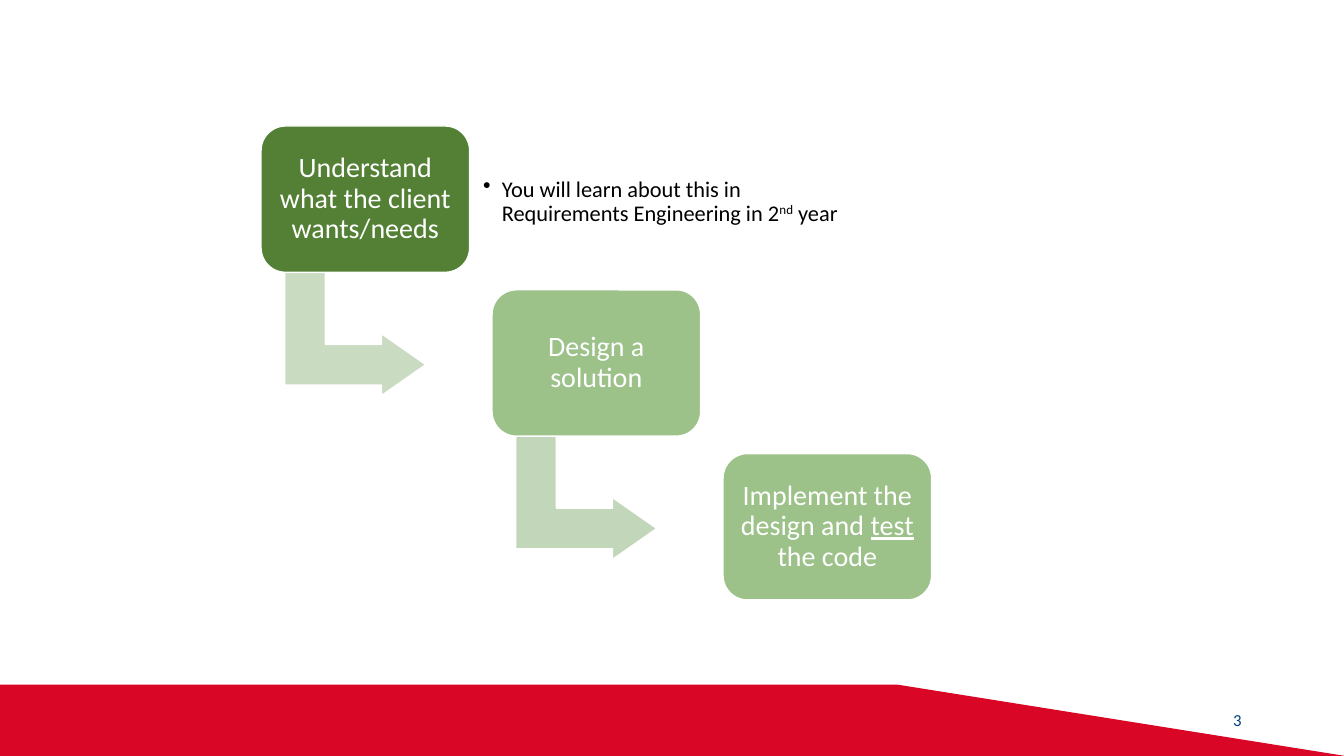
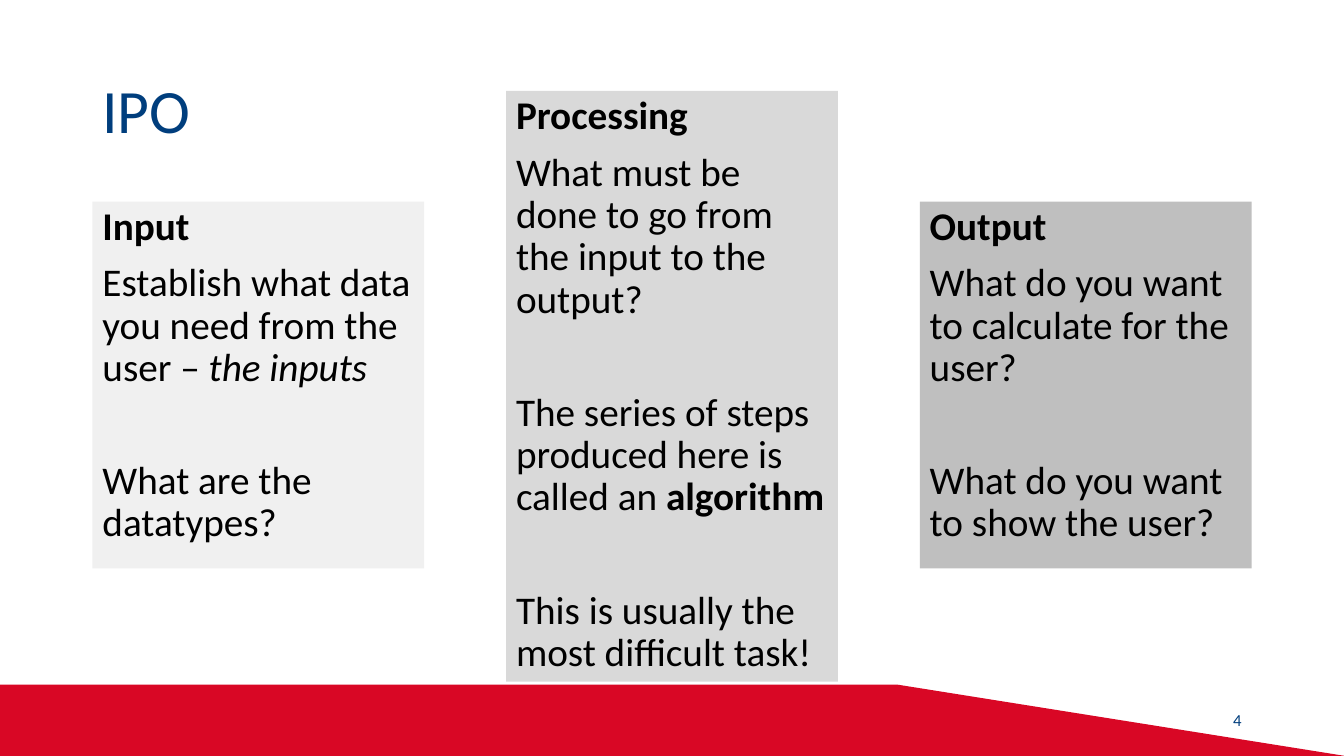
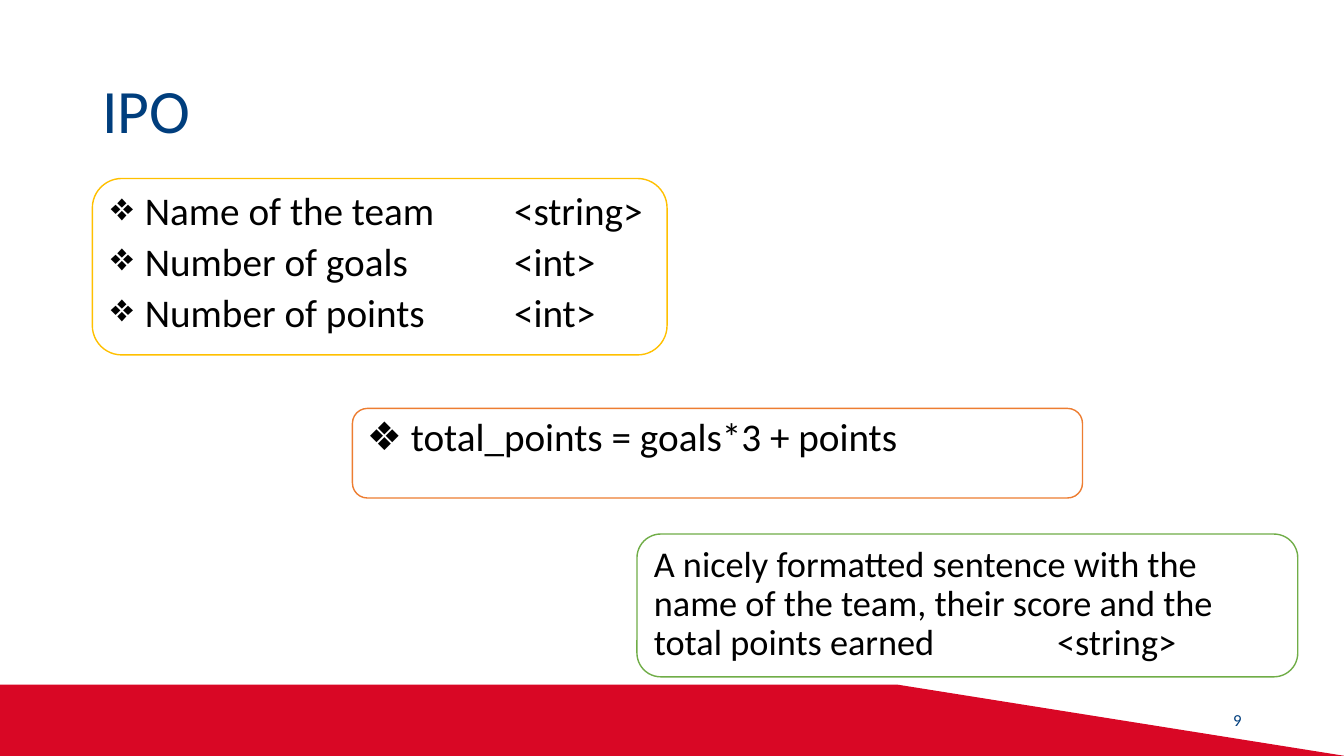
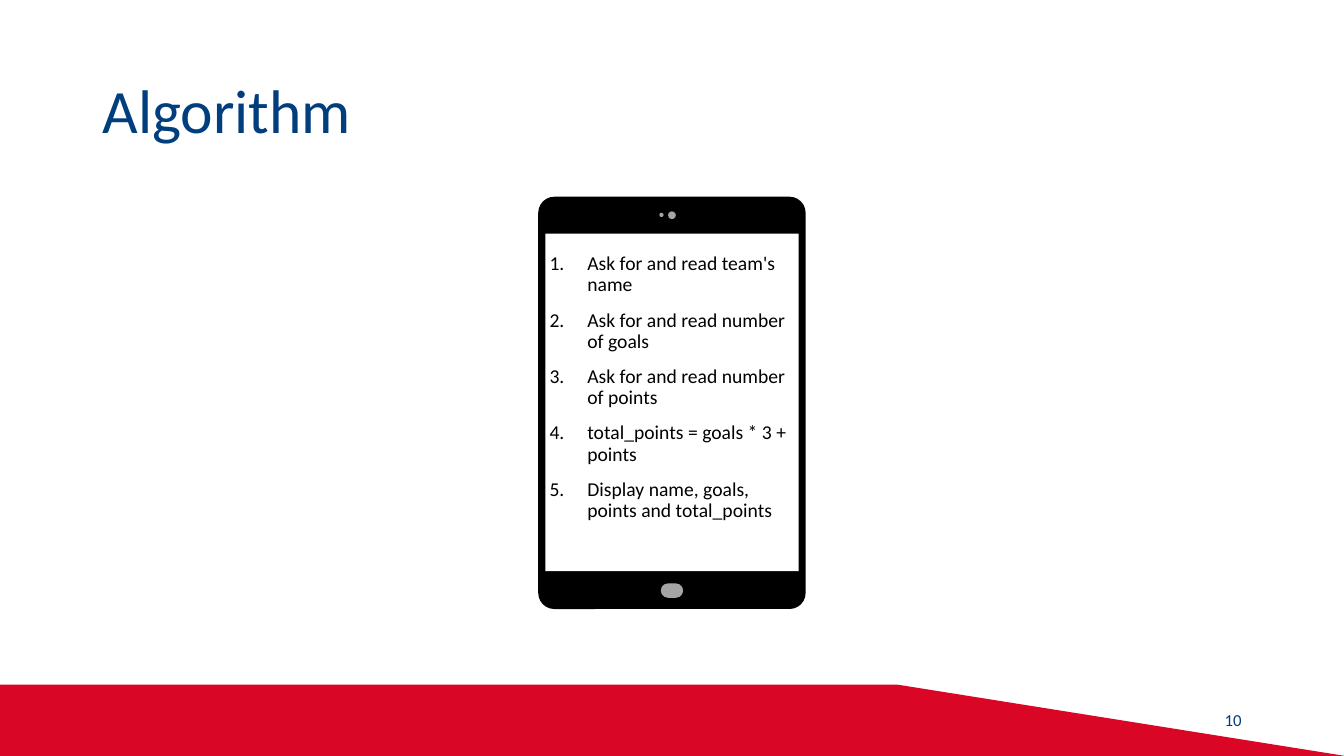
"""Builds four lecture slides on software steps, IPO and an algorithm."""
from lxml import etree
from pptx import Presentation
from pptx.dml.color import RGBColor
from pptx.enum.shapes import MSO_SHAPE
from pptx.enum.text import MSO_ANCHOR, MSO_AUTO_SIZE, PP_ALIGN
from pptx.oxml.ns import qn
from pptx.util import Pt

RECT, ROUNDED, OVAL = MSO_SHAPE.RECTANGLE, MSO_SHAPE.ROUNDED_RECTANGLE, MSO_SHAPE.OVAL
BENT_ARROW, ALTERNATE = MSO_SHAPE.BENT_UP_ARROW, MSO_SHAPE.FLOWCHART_ALTERNATE_PROCESS
TOP, MIDDLE = MSO_ANCHOR.TOP, MSO_ANCHOR.MIDDLE
LEFT, CENTER, RIGHT = PP_ALIGN.LEFT, PP_ALIGN.CENTER, PP_ALIGN.RIGHT
NO_FIT = MSO_AUTO_SIZE.NONE

FONT = "Calibri"
RED, BLUE, BLACK, WHITE, GREY = "D90725", "003E7D", "000000", "FFFFFF", "A5A5A5"
CONTENT, TITLE_ONLY, BLANK = 1, 5, 6
TITLE_BOX = (66, 28.75, 828, 104.5)
NUMBER_BOX = (678, 500.5, 216, 28.75)
BAND = [(0, 489), (641, 489), (961, 540), (0, 540)]

STEPS = [
    ("538035", "C9DBC1", [("Understand what the client wants/needs", "")]),
    ("9CC189", "C2D7B9", [("Design a solution", "")]),
    ("9CC189", None, [("Implement the design and ", ""), ("test", "u"), (" the code", "")]),
]
STEP_NOTE = [("You will learn about this in Requirements Engineering in 2", ""),
             ("nd", "^"), (" year", "")]

COLUMNS = [
    ("F0F0F0", 144, 262, [
        [("Input", "b")],
        [("Establish what data you need from the user – ", ""), ("the inputs", "i")],
        [("What are the datatypes?", "")]]),
    ("D9D9D9", 65, 422, [
        [("Processing", "b")],
        [("What must be done to go from the input to the output?", "")],
        [("The series of steps produced here is called an ", ""), ("algorithm", "b")],
        [("This is usually the most difficult task!", "")]]),
    ("BFBFBF", 144, 262, [
        [("Output", "b")],
        [("What do you want to calculate for the user?", "")],
        [("What do you want to show the user?", "")]]),
]

INPUTS = [" Name of the team \t<string>", " Number of goals \t<int>", " Number of points \t<int>"]
FORMULA = [" total_points = goals*3 + points"]
OUTPUT = ["A nicely formatted sentence with the name of the team, their score"
          " and the total points earned\t\t<string>"]

ALGORITHM = ["Ask for and read team's name", "Ask for and read number of goals",
             "Ask for and read number of points", "total_points = goals * 3 + points",
             "Display name, goals, points and total_points"]
TABLET = [
    (ROUNDED, (384.5, 140.5, 191, 294.5), BLACK, 0.06),
    (ROUNDED, (472, 416.75, 16, 10.25), GREY, 0.5),
    (OVAL, (471, 152, 3, 3), GREY, None),
    (OVAL, (477.25, 151, 5.5, 5.5), GREY, None),
]


def color(value):
    return RGBColor.from_string(value)


def place(shape, box):
    shape.left, shape.top, shape.width, shape.height = map(Pt, box)


def paint(shape, fill, line=None):
    shape.fill.solid()
    shape.fill.fore_color.rgb = color(fill)
    if line:
        shape.line.color.rgb = color(line)
        shape.line.width = Pt(1)
    else:
        shape.line.fill.background()
    shape.shadow.inherit = False


def add_shape(page, kind, box, fill, line=None, adjust=()):
    shape = page.shapes.add_shape(kind, *map(Pt, box))
    for index, value in enumerate(adjust):
        shape.adjustments[index] = value
    paint(shape, fill, line)
    return shape


def plain(lines):
    return [[(line, "")] for line in lines]


def set_bullet(para, bullet, indent):
    props = para._p.get_or_add_pPr()
    props.set("marL", str(Pt(indent)))
    props.set("indent", str(-Pt(indent)))
    props.set("defTabSz", str(Pt(72)))
    if bullet == "1.":
        etree.SubElement(props, qn("a:buAutoNum"), type="arabicPeriod")
    elif bullet:
        etree.SubElement(props, qn("a:buChar"), char=bullet)
    else:
        etree.SubElement(props, qn("a:buNone"))


def write(shape, paras, size, ink=BLACK, align=LEFT, anchor=TOP, before=(0,),
          bullet=None, indent=0, insets=(7.2, 3.6, 7.2, 3.6)):
    frame = shape.text_frame
    frame.word_wrap, frame.auto_size, frame.vertical_anchor = True, NO_FIT, anchor
    (frame.margin_left, frame.margin_top,
     frame.margin_right, frame.margin_bottom) = map(Pt, insets)
    for index, spans in enumerate(paras):
        para = frame.add_paragraph() if index else frame.paragraphs[0]
        para.alignment, para.line_spacing = align, 0.9
        para.space_before = Pt(before[min(index, len(before) - 1)])
        set_bullet(para, bullet, indent)
        for text, style in spans:
            span = para.add_run()
            span.text = text
            font = span.font
            font.name, font.size, font.color.rgb = FONT, Pt(size), color(ink)
            font.bold, font.italic, font.underline = "b" in style, "i" in style, "u" in style
            if "^" in style:
                span._r.get_or_add_rPr().set("baseline", "30000")


def add_page(deck, layout, number, title=None):
    page = deck.slides.add_slide(deck.slide_layouts[layout])
    if title:
        write(page.shapes.title, plain([title]), 44, BLUE, anchor=MIDDLE)
    label = page.shapes.add_textbox(*map(Pt, NUMBER_BOX))
    write(label, plain([number]), 12, BLUE, RIGHT, MIDDLE)
    return page


def set_master(deck, page):
    """Moves the red band to the master, and sets the title's place there."""
    master = deck.slide_master
    place(master.placeholders[0], TITLE_BOX)
    builder = page.shapes.build_freeform(Pt(BAND[0][0]), Pt(BAND[0][1]))
    builder.add_line_segments([(Pt(x), Pt(y)) for x, y in BAND[1:]])
    band = builder.convert_to_shape()
    paint(band, RED)
    master.shapes.element.insert(2, band.element)


def build_steps(deck):
    page = add_page(deck, BLANK, "3")
    set_master(deck, page)
    for index, (fill, arrow_fill, spans) in enumerate(STEPS):
        x, y = 186.5 + 165 * index, 90 + 117 * index
        if arrow_fill:
            arrow = add_shape(page, BENT_ARROW, (x + 23, y + 98, 88.5, 100.75),
                              arrow_fill, WHITE, (0.328, 0.25, 0.358))
            arrow.rotation = 90
        step = add_shape(page, ROUNDED, (x, y, 149, 104.5), fill, WHITE, (0.167,))
        write(step, [spans], 20, WHITE, CENTER, MIDDLE, insets=(6,) * 4)
    note = page.shapes.add_textbox(*map(Pt, (339, 102, 281.5, 84.5)))
    write(note, [STEP_NOTE], 16, anchor=MIDDLE, bullet="•", indent=13.5, insets=(6,) * 4)


def build_columns(deck):
    page = add_page(deck, CONTENT, "4", "IPO")
    for index, (fill, top, height, paras) in enumerate(COLUMNS):
        box = (66 + 295.5 * index, top, 237, height)
        if index:
            column = add_shape(page, RECT, box, fill)
        else:
            column = page.placeholders[1]
            place(column, box)
            paint(column, fill)
        write(column, paras, 28, before=(10, 10, 50.5))


def build_example(deck):
    page = add_page(deck, CONTENT, "9", "IPO")
    formula = page.placeholders[1]
    place(formula, (251.75, 291.75, 521.5, 64))
    outline = etree.SubElement(formula.element.spPr, qn("a:prstGeom"),
                               prst="flowChartAlternateProcess")
    etree.SubElement(outline, qn("a:avLst"))
    paint(formula, WHITE, "ED7D31")
    inputs = add_shape(page, ALTERNATE, (66, 127.5, 410.5, 126), WHITE, "FFC000")
    output = add_shape(page, ROUNDED, (455, 381.5, 472, 102), WHITE, "70AD47")
    for shape, lines in ((formula, FORMULA), (inputs, INPUTS)):
        write(shape, plain(lines), 28, before=(6,), bullet="❖", indent=18)
    write(output, plain(OUTPUT), 25.9, before=(6,))


def build_algorithm(deck):
    page = add_page(deck, TITLE_ONLY, "10", "Algorithm")
    for kind, box, fill, radius in TABLET:
        add_shape(page, kind, box, fill, adjust=(radius,) if radius else ())
    screen = add_shape(page, RECT, (389.5, 167, 181, 241), WHITE)
    write(screen, plain(ALGORITHM), 14, anchor=MIDDLE, before=(10,), bullet="1.",
          indent=27, insets=(3, 0, 3, 21))


def main():
    deck = Presentation()
    deck.slide_width, deck.slide_height = Pt(960), Pt(540)
    for build in (build_steps, build_columns, build_example, build_algorithm):
        build(deck)
    deck.save("out.pptx")


if __name__ == "__main__":
    main()
